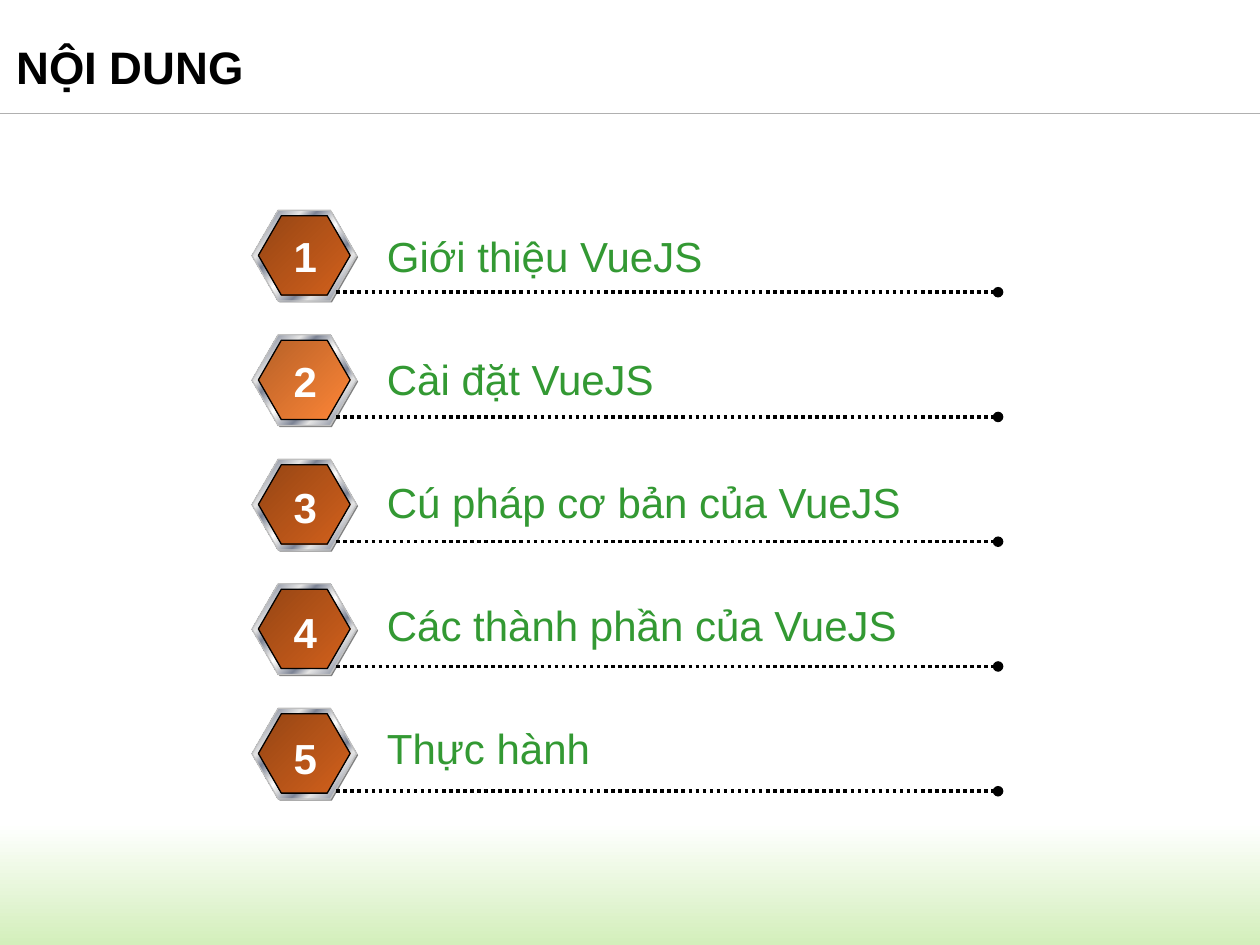
from copy import deepcopy
from lxml.etree import SubElement
from pptx import Presentation
from pptx.dml.color import RGBColor
from pptx.enum.dml import MSO_LINE
from pptx.enum.shapes import MSO_CONNECTOR, MSO_SHAPE
from pptx.enum.text import MSO_ANCHOR, MSO_AUTO_SIZE, PP_ALIGN
from pptx.oxml.ns import qn
from pptx.util import Cm, Pt

SILVER, STEEL = "E6E6E6", "7D8496"
THEME = {
    "font": "Arial", "title_size": 26, "item_size": 24,
    "title": "000000", "item": "339933", "number": "FFFFFF",
    "rule": "B0B0B0", "dots": "000000",
    "shadow": "808080", "rim_edge": "C0C0C0", "face_edge": "000000",
    "band": [(0, "FFFFFF"), (100, "D3EFBB")],
    "rim": [(0, SILVER), (8, STEEL), (26, SILVER), (34, STEEL), (46, SILVER),
            (50, "FFFFFF"), (54, SILVER), (66, STEEL), (74, SILVER),
            (92, STEEL), (100, SILVER)],
    "brown": [(0, "964514"), (100, "D2611C")],
    "orange": [(0, "B66027"), (100, "FE8637")],
}


def add_filled(shapes, kind, place, fill, angle=0, edge=None):
    """Add a shape with a plain colour or a list of gradient stops."""
    shape = shapes.add_shape(kind, *[Cm(value) for value in place])
    shape.shadow.inherit = False
    if isinstance(fill, str):
        shape.fill.solid()
        shape.fill.fore_color.rgb = RGBColor.from_string(fill)
    else:
        shape.fill.gradient()
        shape.fill.gradient_angle = 360 - angle
        stop_list = shape._element.spPr.find(qn("a:gradFill")).find(qn("a:gsLst"))
        model = deepcopy(stop_list[0])
        for stop in list(stop_list):
            stop_list.remove(stop)
        for position, colour in fill:
            stop = deepcopy(model)
            stop.set("pos", str(position * 1000))
            stop.remove(stop[0])
            SubElement(stop, qn("a:srgbClr"), val=colour)
            stop_list.append(stop)
    if edge:
        shape.line.color.rgb = RGBColor.from_string(edge)
        shape.line.width = Pt(0.75)
    else:
        shape.line.fill.background()
    if kind == MSO_SHAPE.HEXAGON:
        shape.adjustments[0] = 0.289
    return shape


def add_line(page, left, right, top, colour, width):
    line = page.shapes.add_connector(
        MSO_CONNECTOR.STRAIGHT, Cm(left), Cm(top), Cm(right), Cm(top))
    line.line.color.rgb = RGBColor.from_string(colour)
    line.line.width = Pt(width)
    SubElement(line._element.spPr, qn("a:effectLst"))
    return line


deck = Presentation()
deck.slide_width, deck.slide_height = Cm(25.4), Cm(19.05)
page = deck.slides.add_slide(deck.slide_layouts[5])

# Green band at the foot and rule below the title
add_filled(page.shapes, MSO_SHAPE.RECTANGLE, (-0.08, 16.59, 25.48, 2.46), THEME["band"], 90)
add_line(page, 0, 25.4, 2.29, THEME["rule"], 0.75)

# Title
title = page.shapes.title
title.left, title.top, title.width, title.height = Cm(0.33), Cm(0.79), Cm(21.77), Cm(1.8)
frame = title.text_frame
frame.margin_left = frame.margin_right = 0
frame.vertical_anchor = MSO_ANCHOR.TOP
frame.auto_size = MSO_AUTO_SIZE.NONE
para = frame.paragraphs[0]
para.alignment = PP_ALIGN.LEFT
para.line_spacing = 0.9
span = para.add_run()
span.text = "NỘI DUNG"
span.font.name, span.font.size, span.font.bold = THEME["font"], Pt(THEME["title_size"]), True
span.font.color.rgb = RGBColor.from_string(THEME["title"])

# Contents: label, label width, colour of the hexagon face
ITEMS = [
    ("Giới thiệu VueJS", 6.93, "brown"),
    ("Cài đặt VueJS", 5.94, "orange"),
    ("Cú pháp cơ bản của VueJS", 10.97, "brown"),
    ("Các thành phần của VueJS", 10.9, "brown"),
    ("Thực hành", 4.65, "brown"),
]
for row, (label, label_width, face) in enumerate(ITEMS):
    # Hexagon badge: shadow, metal rim, coloured face
    top = 4.24 + 2.51 * row
    badge = page.shapes.add_group_shape().shapes
    add_filled(badge, MSO_SHAPE.HEXAGON, (5.11, top + 0.03, 2.11, 1.83), THEME["shadow"])
    add_filled(badge, MSO_SHAPE.HEXAGON, (5.08, top, 2.11, 1.83),
               THEME["rim"], 45, THEME["rim_edge"])
    add_filled(badge, MSO_SHAPE.HEXAGON, (5.21, top + 0.11, 1.85, 1.6),
               THEME[face], 45, THEME["face_edge"])

    # Dotted line with a round end
    leader = add_line(page, 6.78, 20.12, 5.89 + 2.515 * row, THEME["dots"], 2)
    leader.line.dash_style = MSO_LINE.ROUND_DOT
    SubElement(leader.line._get_or_add_ln(), qn("a:tailEnd"), type="oval")

    # Label and number
    for text, left, text_top, width, colour, align, bold in (
        (label, 7.55, 4.52 + 2.48 * row, label_width, "item", PP_ALIGN.LEFT, False),
        (str(row + 1), 5.66, 4.52 + 2.53 * row, 0.99, "number", PP_ALIGN.CENTER, True),
    ):
        box = page.shapes.add_textbox(Cm(left), Cm(text_top), Cm(width), Cm(1.27))
        box.text_frame.word_wrap = False
        box.text_frame.auto_size = MSO_AUTO_SIZE.SHAPE_TO_FIT_TEXT
        para = box.text_frame.paragraphs[0]
        para.alignment = align
        span = para.add_run()
        span.text = text
        span.font.name, span.font.size = THEME["font"], Pt(THEME["item_size"])
        span.font.bold = bold
        span.font.color.rgb = RGBColor.from_string(THEME[colour])

deck.save("out.pptx")
